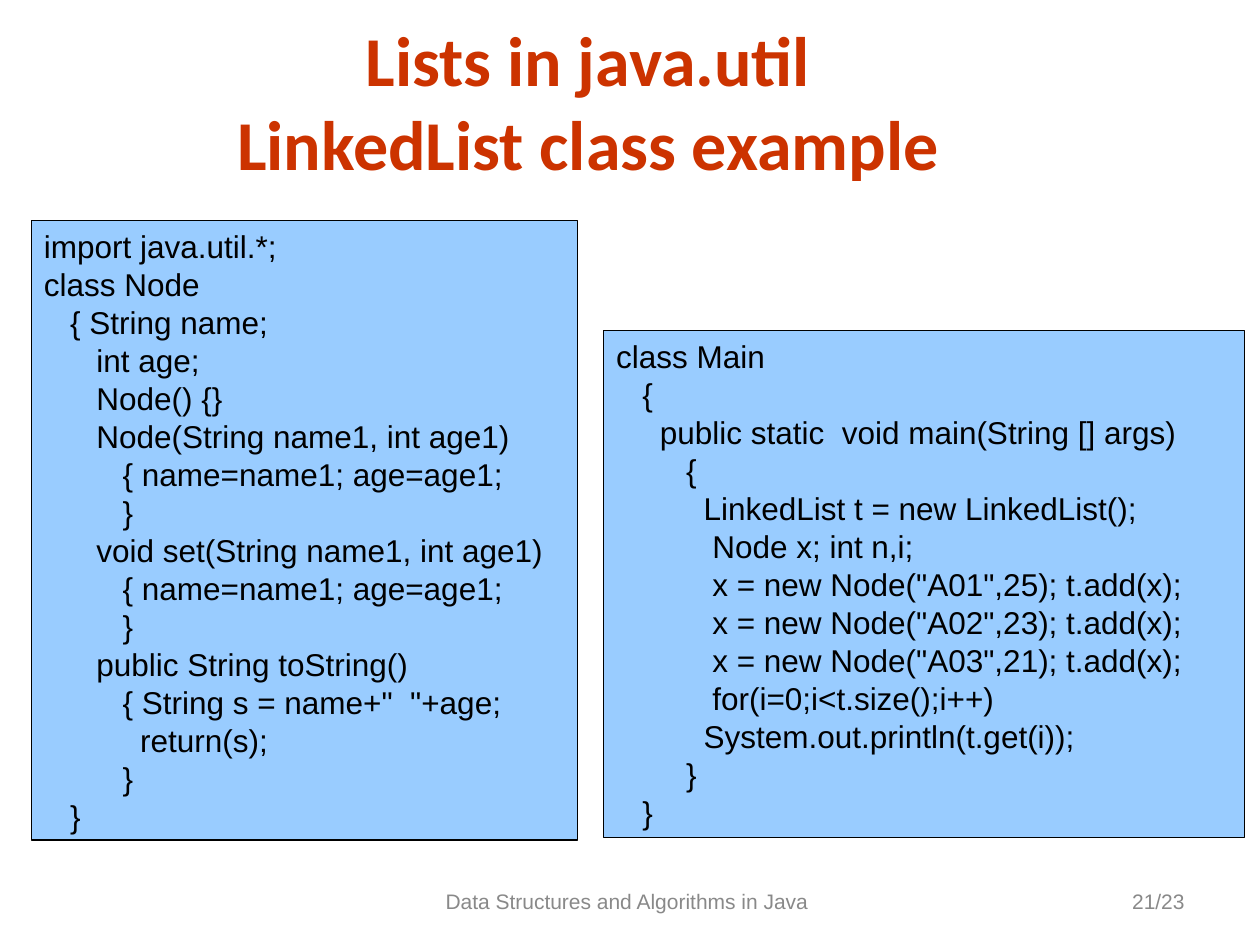
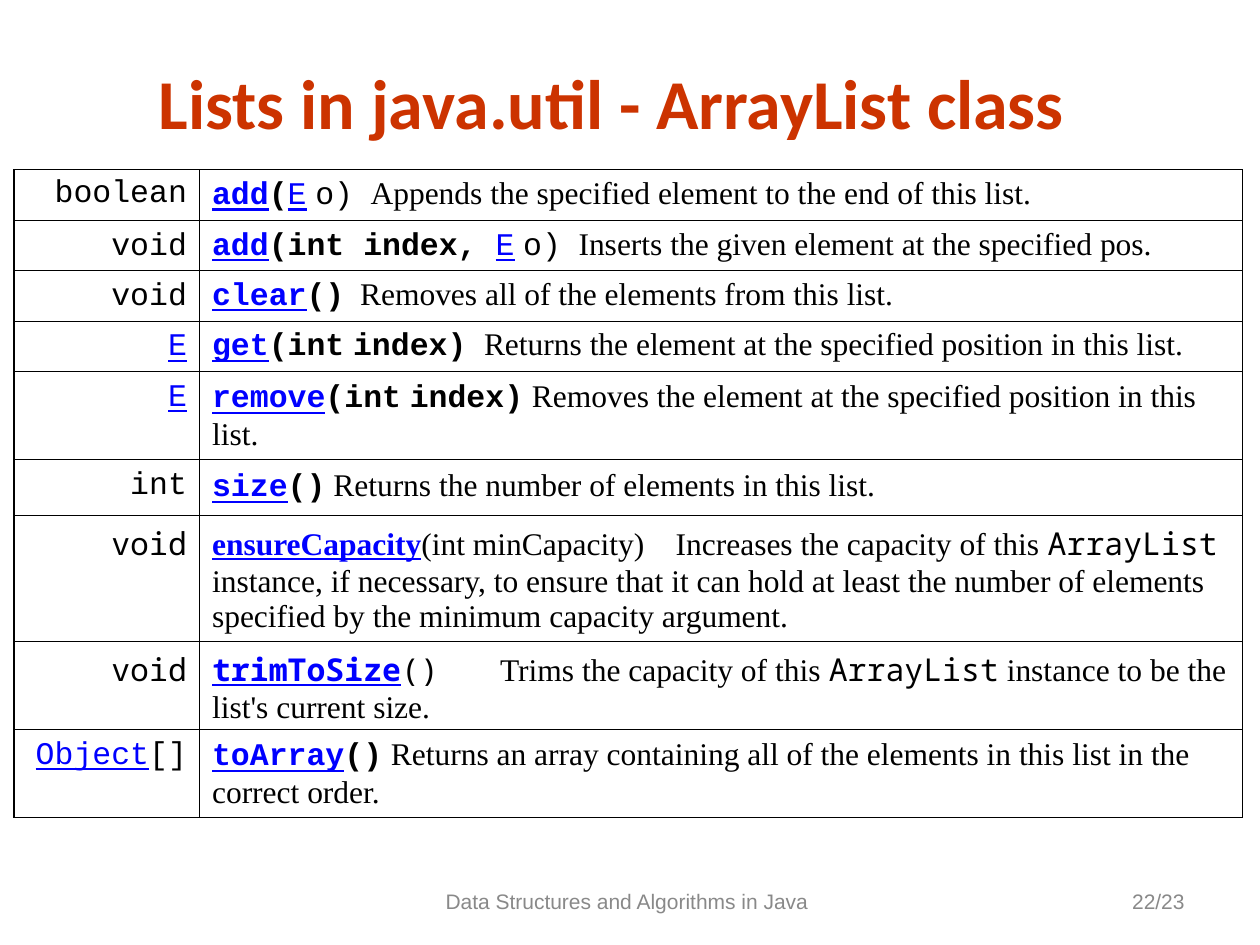
from lxml import etree
from pptx import Presentation
from pptx import util as u
from pptx.dml import color
from pptx.enum import shapes, text
from pptx.oxml import ns

Pt = u.Pt
COLORS = {
    "title": "CC3300",
    "footer": "898989",
    "code": "99CCFF",
    "ink": "000000",
    "link": "0000FF",
    "paper": "FFFFFF",
}
ALIGN = text.PP_ALIGN
MIDDLE = text.MSO_ANCHOR.MIDDLE
TOP = text.MSO_ANCHOR.TOP
TOTAL_PAGES = 23

RUN_STYLES = {
    "code": ("Courier New", False, False),
    "code bold": ("Courier New", True, False),
    "code link": ("Courier New", True, True),
    "type link": ("Courier New", False, True),
    "prose": ("Times New Roman", False, False),
    "prose link": ("Times New Roman", True, True),
    "mono": ("Noto Sans Mono", False, False),
    "mono link": ("Noto Sans Mono", True, True),
    "gap": ("Arial", False, False),
}

NODE_CODE = """\
import java.util.*;
class Node
   { String name;
      int age;
      Node() {}
      Node(String name1, int age1)
         { name=name1; age=age1;
         }
      void set(String name1, int age1)
         { name=name1; age=age1;
         }
      public String toString()
         { String s = name+"  "+age;
           return(s);
         }
   }"""

MAIN_CODE = """\
class Main
   {
     public static  void main(String [] args)
        {
          LinkedList t = new LinkedList();
           Node x; int n,i;
           x = new Node("A01",25); t.add(x);
           x = new Node("A02",23); t.add(x);
           x = new Node("A03",21); t.add(x);
           for(i=0;i<t.size();i++)
          System.out.println(t.get(i));
        }
   }"""

INDEXED = [("code bold", "(int"), ("gap", " "), ("code bold", "index)")]

METHODS = [
    (28.8, [("code", "boolean")],
     [("code link", "add"), ("code bold", "("), ("type link", "E"), ("gap", " "),
      ("code", "o)"), ("gap", "  "),
      ("prose", "Appends the specified element to the end of this list.")]),
    (28.8, [("gap", " "), ("code", "void")],
     [("code link", "add"), ("code bold", "(int index, "), ("type link", "E"),
      ("gap", " "), ("code", "o)"), ("gap", "  "),
      ("prose", "Inserts the given element at the specified pos.")]),
    (28.8, [("gap", " "), ("code", "void")],
     [("code link", "clear"), ("code bold", "()"),
      ("prose", "  Removes all of the elements from this list.")]),
    (28.8, [("gap", " "), ("type link", "E")],
     [("code link", "get"), *INDEXED, ("gap", "  "),
      ("prose", "Returns the element at the specified position in this list.")]),
    (50.4, [("gap", " "), ("type link", "E")],
     [("code link", "remove"), *INDEXED, ("gap", " "),
      ("prose", "Removes the element at the specified position in this list.")]),
    (31.7, [("gap", " "), ("code", "int")],
     [("code link", "size"), ("code bold", "()"),
      ("prose", " Returns the number of elements in this list.")]),
    (72, [("code", " "), ("mono", "void")],
     [("prose link", "ensureCapacity"),
      ("prose", "(int minCapacity)    Increases the capacity of this "),
      ("mono", "ArrayList"),
      ("prose", " instance, if necessary, to ensure that it can hold at least the "
                "number of elements specified by the minimum capacity argument.")]),
    (50.4, [("code", " "), ("mono", "void")],
     [("mono link", "trimToSize"), ("mono", "()"), ("gap", "       "),
      ("prose", "Trims the capacity of this "), ("mono", "ArrayList"),
      ("prose", " instance to be the list's current size.")]),
    (50.4, [("gap", " "), ("type link", "Object"), ("code", "[]")],
     [("code link", "toArray"), ("code bold", "()"), ("gap", " "),
      ("prose", "Returns an array containing all of the elements in this list "
                "in the correct order.")]),
]


def rgb(name):
    return color.RGBColor.from_string(COLORS[name])


class Deck:
    def __init__(self):
        self.presentation = Presentation()
        self.presentation.slide_width = Pt(720)
        self.presentation.slide_height = Pt(540)
        self.slide = None

    def new_slide(self, page):
        self.slide = self.presentation.slides.add_slide(
            self.presentation.slide_layouts[6])
        self.label((228, 500.5, 264, 28.8),
                   ["Data Structures and Algorithms in Java "], 12, "Arial", "footer")
        self.label((516, 500.5, 168, 28.8), [f"{page}/{TOTAL_PAGES}"],
                   12, "Arial", "footer", align=ALIGN.RIGHT)

    def run(self, paragraph, words, size, font, tint, bold=False, underline=False):
        run = paragraph.add_run()
        run.text = words
        run.font.size = Pt(size)
        run.font.name = font
        run.font.bold = bold
        run.font.underline = underline
        run.font.color.rgb = rgb(tint)

    def label(self, box, lines, size, font, tint, bold=False, align=ALIGN.CENTER):
        shape = self.slide.shapes.add_textbox(*map(Pt, box))
        frame = shape.text_frame
        frame.word_wrap = True
        frame.vertical_anchor = MIDDLE
        paragraph = frame.paragraphs[0]
        paragraph.alignment = align
        for index, line in enumerate(lines):
            if index:
                paragraph.add_line_break()
            self.run(paragraph, line, size, font, tint, bold)

    def title(self, box, *lines):
        self.label(box, lines, 40, "Calibri", "title", bold=True)

    def code_box(self, box, code):
        shape = self.slide.shapes.add_shape(
            shapes.MSO_SHAPE.RECTANGLE, *map(Pt, box))
        shape.shadow.inherit = False
        shape.fill.solid()
        shape.fill.fore_color.rgb = rgb("code")
        shape.line.color.rgb = rgb("ink")
        shape.line.width = Pt(0.75)
        frame = shape.text_frame
        frame.word_wrap = True
        frame.vertical_anchor = TOP
        for index, line in enumerate(code.splitlines()):
            paragraph = frame.add_paragraph() if index else frame.paragraphs[0]
            paragraph.alignment = ALIGN.LEFT
            paragraph.line_spacing = Pt(21.7)
            statement = line.lstrip()
            indent = Pt(5 * (len(line) - len(statement)))
            paragraph._p.get_or_add_pPr().set("marL", str(indent))
            self.run(paragraph, statement, 18, "Arial", "ink")

    def cell(self, cell, runs, align, anchor):
        cell.margin_left = cell.margin_right = Pt(7.2)
        cell.margin_top = cell.margin_bottom = Pt(3.6)
        cell.vertical_anchor = anchor
        paragraph = cell.text_frame.paragraphs[0]
        paragraph.alignment = align
        for style, words in runs:
            font, bold, linked = RUN_STYLES[style]
            self.run(paragraph, words, 18, font, "link" if linked else "ink",
                     bold, linked)
        properties = cell._tc.get_or_add_tcPr()
        for side in ("a:lnL", "a:lnR", "a:lnT", "a:lnB"):
            line = etree.SubElement(properties, ns.qn(side), w=str(Pt(0.75)))
            fill = etree.SubElement(line, ns.qn("a:solidFill"))
            etree.SubElement(fill, ns.qn("a:srgbClr"), val=COLORS["ink"])
        cell.fill.solid()
        cell.fill.fore_color.rgb = rgb("paper")

    def method_table(self, left, top, widths, methods):
        height = sum(method[0] for method in methods)
        table = self.slide.shapes.add_table(
            len(methods), len(widths), Pt(left), Pt(top),
            Pt(sum(widths)), Pt(height)).table
        table.first_row = table.horz_banding = False
        for column, width in zip(table.columns, widths):
            column.width = Pt(width)
        for index, (row_height, result, summary) in enumerate(methods):
            table.rows[index].height = Pt(row_height)
            self.cell(table.cell(index, 0), result, ALIGN.RIGHT, TOP)
            self.cell(table.cell(index, 1), summary, ALIGN.LEFT, MIDDLE)


def main():
    deck = Deck()

    deck.new_slide(21)
    deck.title((36, 6, 600, 103), "Lists in java.util", "LinkedList class example")
    deck.code_box((18, 126, 312, 354), NODE_CODE)
    deck.code_box((345, 189, 366, 289.5), MAIN_CODE)

    deck.new_slide(22)
    deck.title((0, 30, 708, 55.5), "Lists in java.util - ArrayList class ")
    deck.method_table(8, 97, (106, 596), METHODS)

    deck.presentation.save("out.pptx")


if __name__ == "__main__":
    main()
